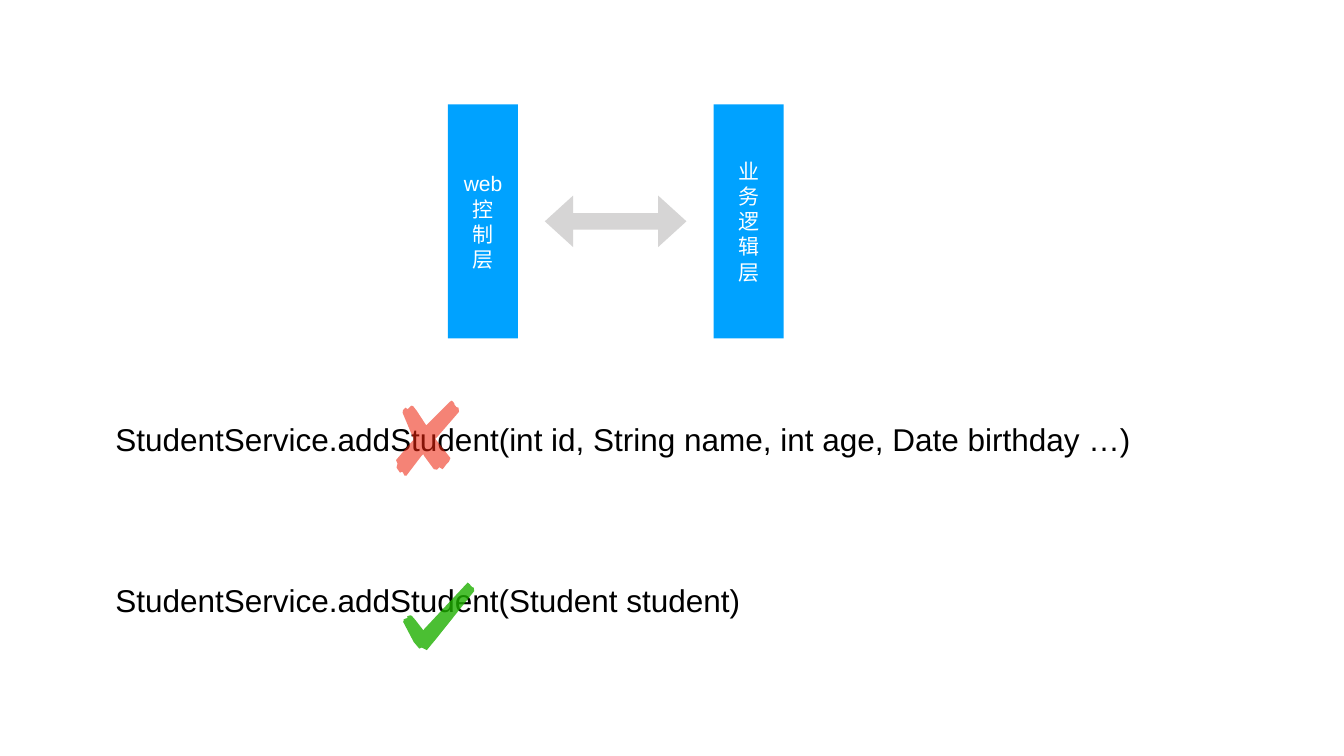
from lxml import etree
from pptx import Presentation
from pptx.dml.color import RGBColor
from pptx.enum.shapes import MSO_SHAPE
from pptx.enum.text import MSO_ANCHOR, MSO_AUTO_SIZE, PP_ALIGN
from pptx.oxml.ns import qn
from pptx.util import Cm, Pt

RECTANGLE = MSO_SHAPE.RECTANGLE
DOUBLE_ARROW = MSO_SHAPE.LEFT_RIGHT_ARROW
MIDDLE = MSO_ANCHOR.MIDDLE
CENTER = PP_ALIGN.CENTER
FIT_SHAPE = MSO_AUTO_SIZE.SHAPE_TO_FIT_TEXT

BLUE = RGBColor(0x00, 0xA2, 0xFF)
GRAY = RGBColor(0xD6, 0xD5, 0xD5)
GREEN = RGBColor(0x1E, 0xB0, 0x01)
RED = RGBColor(0xEE, 0x23, 0x0C)
WHITE = RGBColor(0xFF, 0xFF, 0xFF)
BLACK = RGBColor(0x00, 0x00, 0x00)

MARK_UNIT = Cm(2.54) // 100
TICK = [
    (128, 0), (42, 92), (40, 95), (38, 92), (24, 74), (17, 66), (14, 65),
    (8, 67), (9, 70), (1, 73), (1, 76), (0, 78), (21, 118), (32, 131),
    (37, 129), (47, 134), (66, 111), (137, 22), (141, 17), (140, 10),
    (137, 9), (133, 5), (133, 4),
]
CROSS = [
    (110, 0), (106, 3), (63, 46), (60, 49), (58, 46), (41, 20), (34, 11),
    (30, 10), (27, 13), (23, 17), (19, 14), (14, 19), (13, 24), (34, 74),
    (36, 76), (0, 118), (3, 125), (2, 129), (1, 133), (8, 143), (12, 141),
    (14, 143), (17, 149), (21, 149), (22, 147), (51, 109), (54, 106),
    (56, 110), (75, 136), (81, 137), (86, 132), (92, 136), (95, 133),
    (98, 129), (101, 125), (105, 121), (108, 114), (78, 76), (81, 73),
    (120, 28), (125, 22), (124, 14), (120, 13), (116, 8), (116, 6), (113, 2),
]


class SlideBuilder:
    """Draws styled elements on the current slide."""

    font = "Arial"
    inset = Cm(0.2)

    def __init__(self, slide):
        self.slide = slide

    def paint(self, shape, color):
        shape.shadow.inherit = False
        shape.fill.solid()
        shape.fill.fore_color.rgb = color
        shape.line.fill.background()

    def label(self, shape, text, size, color):
        frame = shape.text_frame
        frame.text = text
        frame.vertical_anchor = MIDDLE
        frame.margin_left = frame.margin_right = self.inset
        frame.margin_top = frame.margin_bottom = self.inset
        for para in frame.paragraphs:
            para.alignment = CENTER
            for span in para.runs:
                span.font.name = self.font
                span.font.size = Pt(size)
                span.font.color.rgb = color

    def layer(self, left, lines):
        box = self.slide.shapes.add_shape(
            RECTANGLE, Cm(left), Cm(5.26), Cm(3.53), Cm(11.79))
        self.paint(box, BLUE)
        self.label(box, "\n".join(lines), 30, WHITE)

    def signature(self, top, width, text):
        box = self.slide.shapes.add_textbox(
            Cm(5.44), Cm(top), Cm(width), Cm(2.26))
        self.label(box, text, 45, BLACK)
        box.text_frame.word_wrap = False
        box.text_frame.auto_size = FIT_SHAPE

    def arrow(self, left, top, width, height):
        arrow = self.slide.shapes.add_shape(
            DOUBLE_ARROW, Cm(left), Cm(top), Cm(width), Cm(height))
        arrow.adjustments[0] = 0.32
        arrow.adjustments[1] = 0.55
        self.paint(arrow, GRAY)

    def mark(self, left, top, points, color, opacity):
        builder = self.slide.shapes.build_freeform(*points[0], scale=MARK_UNIT)
        builder.add_line_segments(points[1:], close=True)
        mark = builder.convert_to_shape(Cm(left), Cm(top))
        self.paint(mark, color)
        fill_color = mark.element.spPr.find(qn("a:solidFill"))[0]
        etree.SubElement(fill_color, qn("a:alpha"), val=str(opacity * 1000))


deck = Presentation()
deck.slide_width = Cm(67.74)
deck.slide_height = Cm(38.1)
page = SlideBuilder(deck.slides.add_slide(deck.slide_layouts[6]))

page.layer(22.58, ["web", *"控制层"])
page.layer(35.97, "业务逻辑层")
page.signature(
    20.98, 51.94,
    "StudentService.addStudent(int id, String name, int age, Date birthday …)")
page.signature(29.11, 32.26, "StudentService.addStudent(Student student)")
page.arrow(27.46, 9.86, 7.14, 2.59)
page.mark(20.32, 29.36, TICK, GREEN, 80)
page.mark(19.96, 20.19, CROSS, RED, 56)

deck.save("out.pptx")
